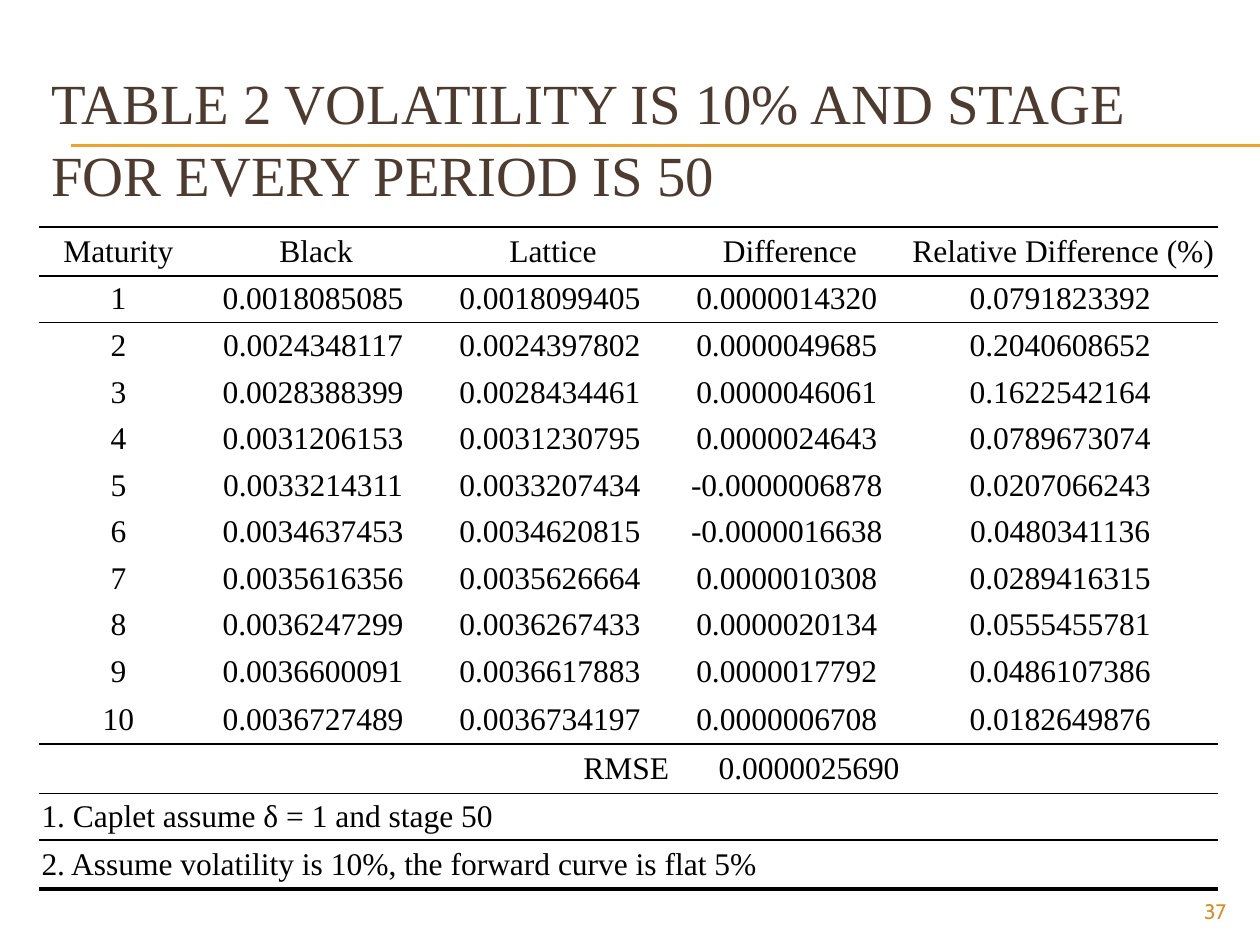
from lxml.etree import SubElement
from pptx import Presentation
from pptx.dml.color import RGBColor
from pptx.enum.shapes import MSO_CONNECTOR
from pptx.enum.text import MSO_ANCHOR, PP_ALIGN
from pptx.oxml import parse_xml
from pptx.oxml.ns import nsdecls, qn
from pptx.util import Inches, Pt

BLACK = RGBColor(0x00, 0x00, 0x00)
BROWN = RGBColor(0x4E, 0x3B, 0x30)
GOLD = RGBColor(0xF0, 0xA2, 0x2E)
DARK_GOLD = RGBColor(0xD4, 0x8F, 0x29)
SERIF = "Times New Roman"
NO_STYLE = "{2D5ABB26-0587-4C30-8999-92F81FD0307C}"

HEADER = ["Maturity", "Black", "Lattice", "Difference", "Relative Difference (%)"]
RESULTS = [
    ["1", "0.0018085085", "0.0018099405", "0.0000014320", "0.0791823392"],
    ["2", "0.0024348117", "0.0024397802", "0.0000049685", "0.2040608652"],
    ["3", "0.0028388399", "0.0028434461", "0.0000046061", "0.1622542164"],
    ["4", "0.0031206153", "0.0031230795", "0.0000024643", "0.0789673074"],
    ["5", "0.0033214311", "0.0033207434", "-0.0000006878", "0.0207066243"],
    ["6", "0.0034637453", "0.0034620815", "-0.0000016638", "0.0480341136"],
    ["7", "0.0035616356", "0.0035626664", "0.0000010308", "0.0289416315"],
    ["8", "0.0036247299", "0.0036267433", "0.0000020134", "0.0555455781"],
    ["9", "0.0036600091", "0.0036617883", "0.0000017792", "0.0486107386"],
    ["10", "0.0036727489", "0.0036734197", "0.0000006708", "0.0182649876"],
]
RMSE = ["", "", "RMSE", "0.0000025690", ""]
NOTES = [
    ["1. Caplet assume δ = 1 and stage 50", "", "", "", ""],
    ["2. Assume volatility is 10%, the forward curve is flat 5%", "", "", "", ""],
]
ROWS = [HEADER] + RESULTS + [RMSE] + NOTES
RMSE_ROW = len(RESULTS) + 1
LAST_ROW = len(ROWS) - 1
COLUMN_WIDTHS = [1.26, 1.88, 1.88, 1.88, 2.46]
TALL_ROWS = [0, RMSE_ROW - 1, RMSE_ROW, LAST_ROW]
TOP_RULES = {0: 1, 1: 1, RMSE_ROW: 1, RMSE_ROW + 1: 1}
BOTTOM_RULES = {0: 1, RMSE_ROW - 1: 1, RMSE_ROW: 1, LAST_ROW: 2.25}


def style_font(font, name, size, color):
    font.name = name
    font.size = Pt(size)
    font.color.rgb = color


def add_border(cell, position, tag, width):
    border = parse_xml(
        f'<a:{tag} {nsdecls("a")} w="{Pt(width)}"><a:solidFill>'
        f'<a:srgbClr val="{BLACK}"/></a:solidFill></a:{tag}>'
    )
    cell._tc.get_or_add_tcPr().insert(position, border)


presentation = Presentation()
presentation.slide_width = Inches(10)
presentation.slide_height = Inches(7.5)
slide = presentation.slides.add_slide(presentation.slide_layouts[6])

for top in (1.15, 1.16):
    rule = slide.shapes.add_connector(
        MSO_CONNECTOR.STRAIGHT, Inches(0.56), Inches(top), Inches(10), Inches(top)
    )
    rule.line.color.rgb = GOLD
    rule.line.width = Pt(0.75)
    SubElement(rule._element.spPr, qn("a:effectLst"))

title = slide.shapes.add_textbox(Inches(0.31), Inches(0.62), Inches(9.5), Inches(0.92))
title_frame = title.text_frame
title_frame.word_wrap = True
title_frame.vertical_anchor = MSO_ANCHOR.MIDDLE
title_frame.text = "TABLE 2 VOLATILITY IS 10% AND STAGE FOR EVERY PERIOD IS 50"
title_frame.paragraphs[0].line_spacing = 1.05
style_font(title_frame.paragraphs[0].runs[0].font, SERIF, 32.4, BROWN)

number = slide.shapes.add_textbox(Inches(9), Inches(7.08), Inches(0.83), Inches(0.27))
number.text_frame.word_wrap = True
number.text_frame.text = "37"
number.text_frame.paragraphs[0].alignment = PP_ALIGN.RIGHT
style_font(number.text_frame.paragraphs[0].runs[0].font, "Cabin", 12, DARK_GOLD)

frame = slide.shapes.add_table(
    len(ROWS), len(HEADER), Inches(0.31), Inches(1.8), Inches(9.38), Inches(5.23)
)
table = frame.table
table.first_row = False
table.horz_banding = False
table._tbl.tblPr.find(qn("a:tableStyleId")).text = NO_STYLE
for column, width in zip(table.columns, COLUMN_WIDTHS):
    column.width = Inches(width)

for row_index, texts in enumerate(ROWS):
    table.rows[row_index].height = Inches(0.39 if row_index in TALL_ROWS else 0.37)
    if row_index > RMSE_ROW:
        alignment = PP_ALIGN.LEFT
    elif row_index == RMSE_ROW:
        alignment = PP_ALIGN.RIGHT
    else:
        alignment = PP_ALIGN.CENTER
    for column_index, text in enumerate(texts):
        cell = table.cell(row_index, column_index)
        decimal = column_index > 0 and "." in text
        cell.margin_left = Inches(0.02)
        cell.margin_right = Inches(0.07 if decimal else 0.02)
        cell.margin_top = cell.margin_bottom = Inches(0)
        cell.vertical_anchor = MSO_ANCHOR.MIDDLE
        cell.fill.background()
        paragraph = cell.text_frame.paragraphs[0]
        paragraph.alignment = alignment
        paragraph.text = text
        for run in paragraph.runs:
            style_font(run.font, SERIF, 18, BLACK)
        if row_index in BOTTOM_RULES:
            add_border(cell, 0, "lnB", BOTTOM_RULES[row_index])
        if row_index in TOP_RULES:
            add_border(cell, 0, "lnT", TOP_RULES[row_index])
    if row_index > RMSE_ROW:
        table.cell(row_index, 0).merge(table.cell(row_index, len(HEADER) - 1))

presentation.save("out.pptx")
